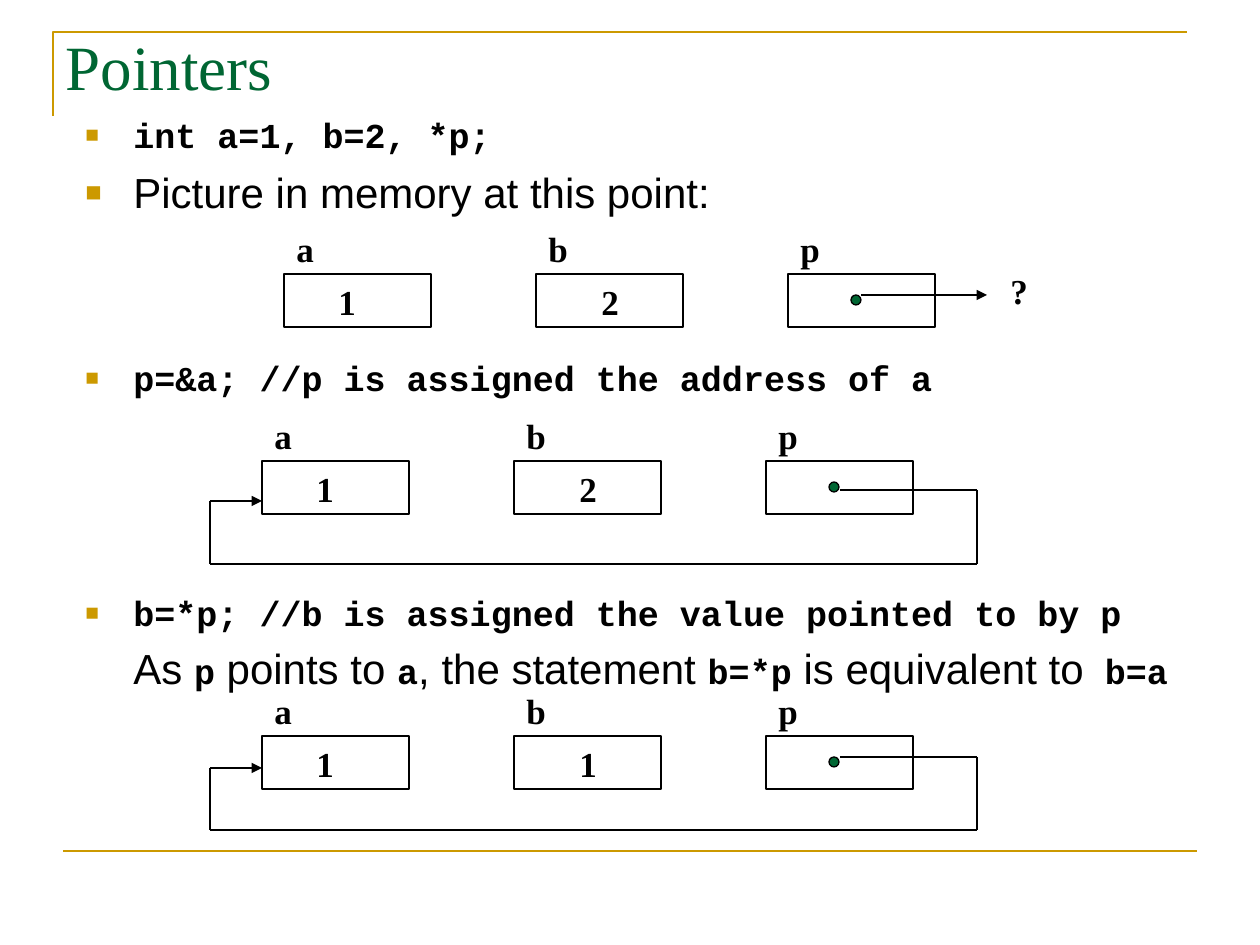
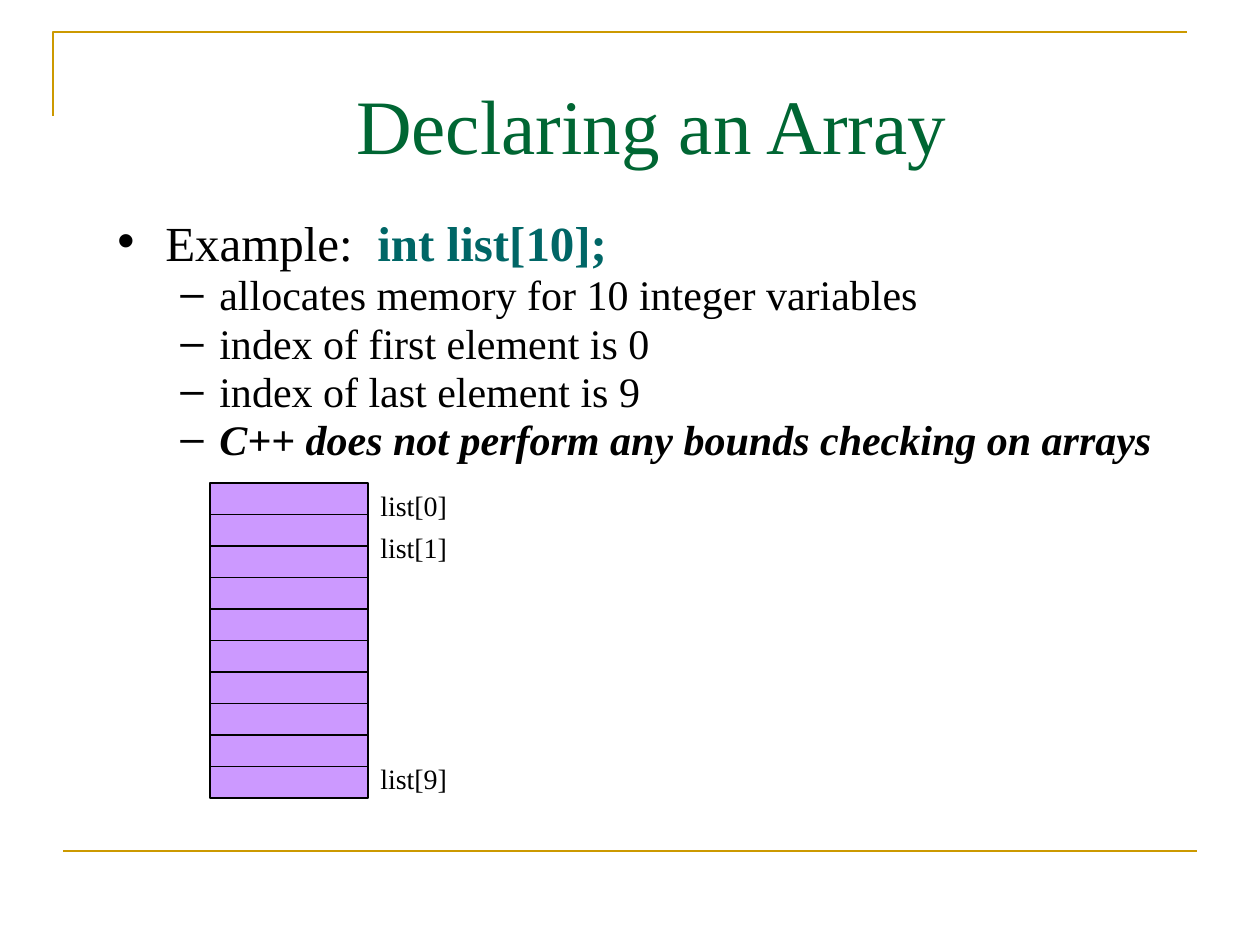
"""Build two lecture slides: pointers in memory and declaring an array."""
from itertools import pairwise

from lxml import etree
from pptx import Presentation
from pptx.dml.color import RGBColor
from pptx.enum.shapes import MSO_CONNECTOR, MSO_SHAPE
from pptx.enum.text import MSO_ANCHOR, MSO_AUTO_SIZE, PP_ALIGN
from pptx.oxml.ns import qn
from pptx.util import Pt

STRAIGHT = MSO_CONNECTOR.STRAIGHT
RECTANGLE, OVAL = MSO_SHAPE.RECTANGLE, MSO_SHAPE.OVAL
TOP, MIDDLE = MSO_ANCHOR.TOP, MSO_ANCHOR.MIDDLE
LEFT, CENTER = PP_ALIGN.LEFT, PP_ALIGN.CENTER
NO_AUTOFIT = MSO_AUTO_SIZE.NONE

PX = 914400 / 126
COLORS = {"gold": "CC9900", "green": "006633", "teal": "006666", "black": "000000", "violet": "CC99FF"}
RGB = {name: RGBColor.from_string(value) for name, value in COLORS.items()}
SERIF = "Times New Roman"
STYLES = {
    "code": ("Courier New", 20, "black", True, False),
    "prose": ("Arial", 24, "black", False, False),
    "label": (SERIF, 20, "black", True, False),
    "example": (SERIF, 28, "black", False, False),
    "declaration": (SERIF, 28, "teal", True, False),
    "detail": (SERIF, 24, "black", False, False),
    "warning": (SERIF, 24, "black", True, True),
    "index": (SERIF, 16, "black", False, False),
}
PLAIN = {}
SQUARE = {"margin": 48, "hang": 48, "bullet": ("■", "gold", 65)}
CONTINUED = {"margin": 48}
DOT = {"margin": 48, "hang": 48, "bullet": ("•", "black", 100), "spacing": 0.75}
DASH = {"margin": 102, "hang": 39, "bullet": ("–", "black", 100), "spacing": 0.75}


def add_text(slide, box, paragraphs, top_inset=6):
    """Add a text box of (layout, space before, runs) paragraphs."""
    frame = slide.shapes.add_textbox(*(round(v * PX) for v in box)).text_frame
    frame.word_wrap = True
    frame.margin_top = round(top_inset * PX)
    for number, (layout, before, runs) in enumerate(paragraphs):
        paragraph = frame.add_paragraph() if number else frame.paragraphs[0]
        properties = paragraph._p.get_or_add_pPr()
        properties.set("marL", str(round(layout.get("margin", 0) * PX)))
        properties.set("indent", str(round(-layout.get("hang", 0) * PX)))
        if "bullet" in layout:
            mark, color, percent = layout["bullet"]
            bullet_color = etree.SubElement(properties, qn("a:buClr"))
            etree.SubElement(bullet_color, qn("a:srgbClr"), val=COLORS[color])
            etree.SubElement(properties, qn("a:buSzPct"), val=str(percent * 1000))
            etree.SubElement(properties, qn("a:buFont"), typeface="Arial")
            etree.SubElement(properties, qn("a:buChar"), char=mark)
        if "spacing" in layout:
            paragraph.line_spacing = layout["spacing"]
        paragraph.space_before = Pt(before)
        for text, style in runs:
            run = paragraph.add_run()
            run.text = text
            font = run.font
            font.name, size, color, font.bold, font.italic = STYLES[style]
            font.size = Pt(size)
            font.color.rgb = RGB[color]
    return frame


def add_route(slide, points, color="black", width=0.75, arrow=False):
    """Join the points with straight lines, the last one with an optional arrowhead."""
    for start, end in pairwise(points):
        line = slide.shapes.add_connector(STRAIGHT, *(round(v * PX) for v in (*start, *end)))
        line.line.color.rgb = RGB[color]
        line.line.width = Pt(width)
        if arrow and end == points[-1]:
            etree.SubElement(line.line._get_or_add_ln(), qn("a:tailEnd"), type="triangle")
        etree.SubElement(line._element.spPr, qn("a:effectLst"))


deck = Presentation()
deck.slide_width, deck.slide_height = round(1260 * PX), round(945 * PX)
titles = [
    ("Pointers", (53, 21, 1071, 110), 36, LEFT, TOP),
    ("Declaring an Array", (116, 48, 1071, 152), 44, CENTER, MIDDLE),
]
slides = []
for wording, box, size, alignment, anchor in titles:
    slide = deck.slides.add_slide(deck.slide_layouts[5])
    slides.append(slide)
    corner = slide.shapes.build_freeform(53, 116, scale=PX)
    corner.add_line_segments([(53, 32), (1187, 32)], close=False)
    bracket = corner.convert_to_shape()
    bracket.shadow.inherit = False
    bracket.fill.background()
    bracket.line.color.rgb = RGB["gold"]
    bracket.line.width = Pt(1.5)
    add_route(slide, [(63, 851), (1197, 851)], "gold", 1.5)

    title = slide.shapes.title
    title.left, title.top, title.width, title.height = (round(v * PX) for v in box)
    title.text_frame.auto_size = NO_AUTOFIT
    title.text_frame.vertical_anchor = anchor
    heading = title.text_frame.paragraphs[0]
    heading.alignment = alignment
    run = heading.add_run()
    run.text = wording
    run.font.name, run.font.size = SERIF, Pt(size)
    run.font.color.rgb = RGB["green"]

pointers, array = slides

statements = [
    (SQUARE, 0, [("int a=1, b=2, *p;", "code")]),
    (SQUARE, 6, [("Picture in memory at this point:", "prose")]),
    (SQUARE, 80, [("p=&a; //p is assigned the address of a", "code")]),
    (SQUARE, 110, [("b=*p; //b is assigned the value pointed to by p", "code")]),
    (CONTINUED, 5, [
        ("As ", "prose"), ("p", "code"), (" points to ", "prose"), ("a", "code"),
        (", the statement ", "prose"), ("b=*p", "code"),
        (" is equivalent to", "prose"), (" b=a", "code"),
    ]),
]
add_text(pointers, (73, 100, 1134, 746), statements, top_inset=14)

memory_states = [
    (284, 274, "12", [(861, 295), (987, 295)]),
    (262, 461, "12", [(840, 490), (977, 490), (977, 564), (210, 564), (210, 501), (262, 501)]),
    (262, 736, "11", [(840, 757), (977, 757), (977, 830), (210, 830), (210, 768), (262, 768)]),
]
for left, top, values, route in memory_states:
    for column, variable in enumerate("abp"):
        cell_left = left + 252 * column
        add_text(pointers, (cell_left, top - 53, 53, 55), [(PLAIN, 0, [(variable, "label")])])
        cell = pointers.shapes.add_shape(
            RECTANGLE, *(round(v * PX) for v in (cell_left, top, 147, 53)))
        cell.shadow.inherit = False
        cell.fill.background()
        cell.line.color.rgb = RGB["black"]
        cell.line.width = Pt(0.75)
    for value, offset in zip(values, (42, 305)):
        add_text(pointers, (left + offset, top, 53, 55), [(PLAIN, 0, [(value, "label")])])
    dot = pointers.shapes.add_shape(
        OVAL, *(round(v * PX) for v in (left + 567, top + 21, 10, 10)))
    dot.shadow.inherit = False
    dot.fill.solid()
    dot.fill.fore_color.rgb = RGB["green"]
    dot.line.color.rgb = RGB["black"]
    dot.line.width = Pt(0.75)
    add_route(pointers, route, arrow=True)
add_text(pointers, (998, 263, 42, 55), [(PLAIN, 0, [("?", "label")])])

facts = [
    (DOT, 0, [("Example:", "example"), (" ", "example"), ("int list[10];", "declaration")]),
    (DASH, 6, [("allocates memory for 10 integer variables", "detail")]),
    (DASH, 6, [("index of first element is 0", "detail")]),
    (DASH, 6, [("index of last element is 9", "detail")]),
    (DASH, 6, [("C++ does not perform any bounds checking on arrays", "warning")]),
]
facts_frame = add_text(array, (105, 220, 1071, 252), facts)
for paragraph in facts_frame.paragraphs[1:]:
    paragraph.level = 1
wide_gap = facts_frame.paragraphs[0].runs[1]
wide_gap._r.get_or_add_rPr().set("spc", "700")

storage = array.shapes.add_shape(RECTANGLE, *(round(v * PX) for v in (210, 483, 158, 315)))
storage.shadow.inherit = False
storage.fill.solid()
storage.fill.fore_color.rgb = RGB["violet"]
storage.line.color.rgb = RGB["black"]
storage.line.width = Pt(0.75)
for element in range(1, 10):
    divider = 483 + 31.5 * element
    add_route(array, [(210, divider), (368, divider)])
for index, top, width in [(0, 483, 200), (1, 525, 95), (9, 756, 95)]:
    add_text(array, (368, top, width, 47), [(PLAIN, 0, [(f"list[{index}]", "index")])])

deck.save("out.pptx")
